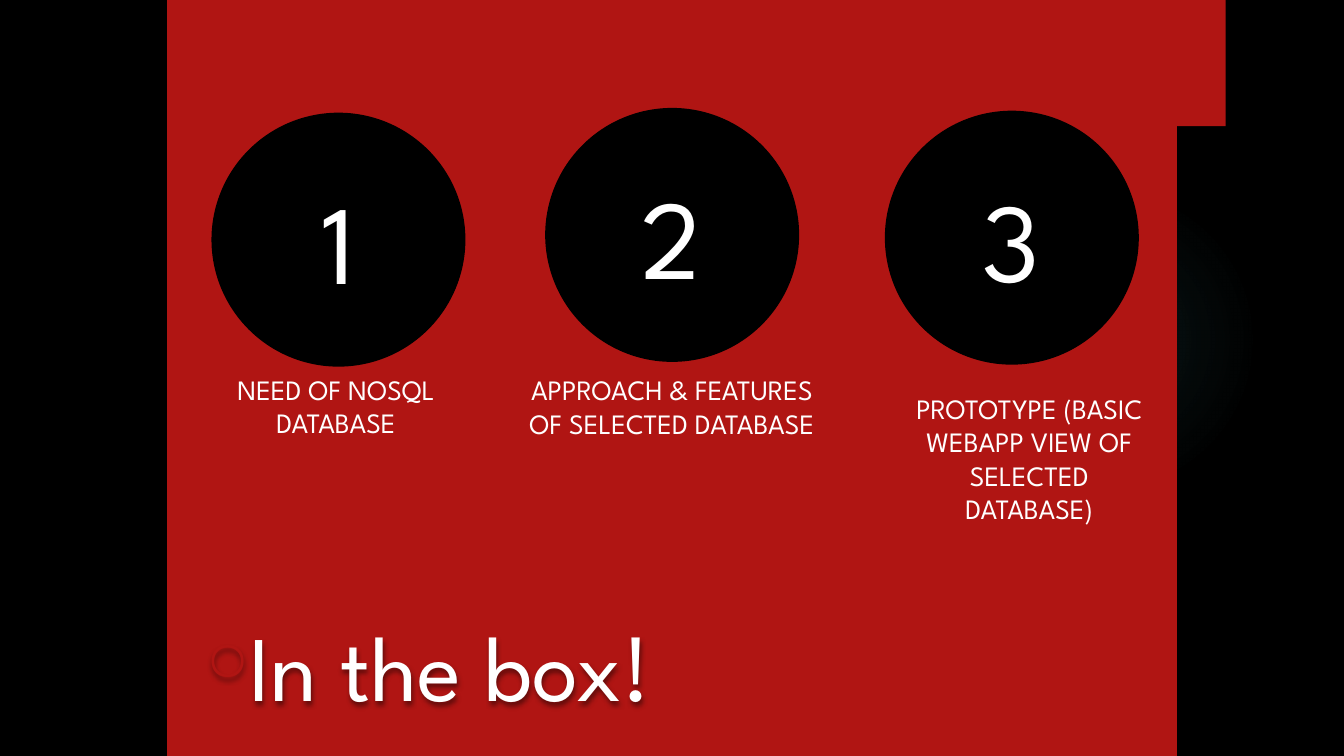
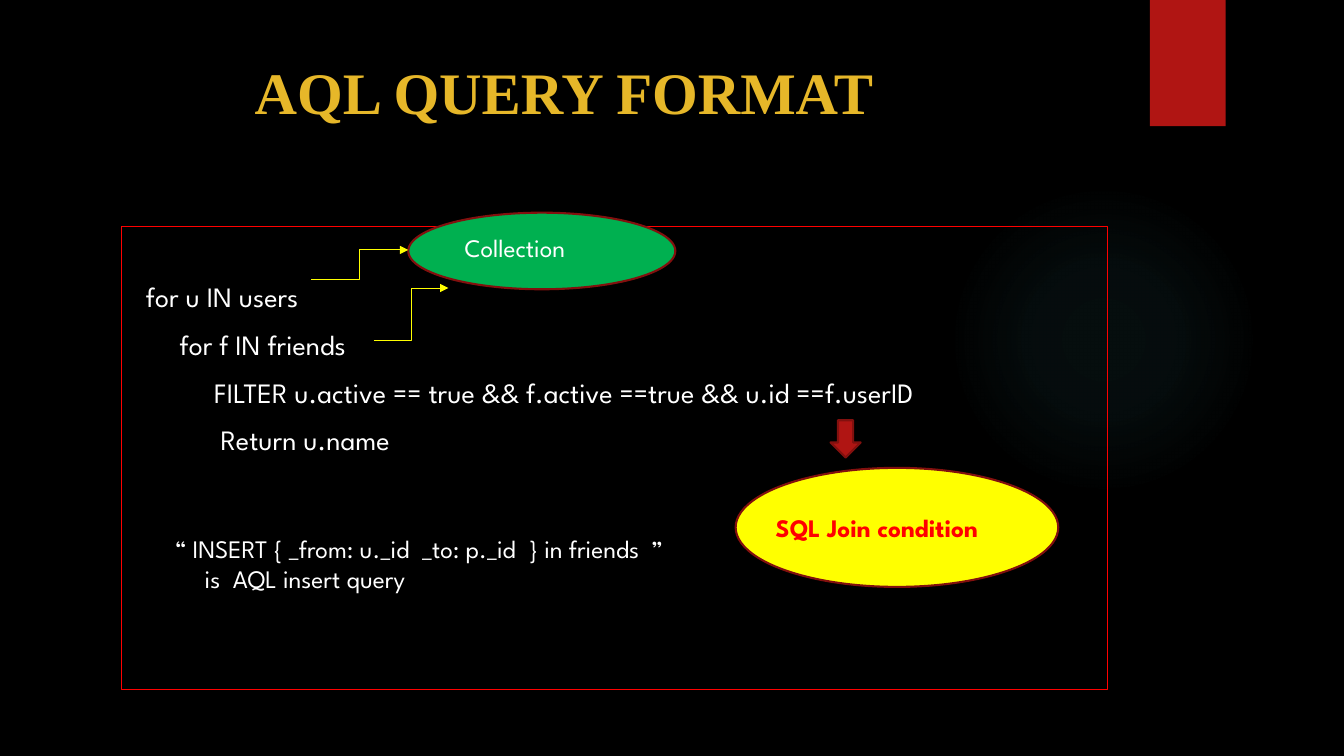
from collections import namedtuple

from lxml import etree
from pptx import Presentation
from pptx.dml.color import RGBColor
from pptx.enum.shapes import MSO_CONNECTOR, MSO_SHAPE
from pptx.enum.text import MSO_ANCHOR, PP_ALIGN
from pptx.oxml import parse_xml
from pptx.oxml.ns import nsdecls, qn
from pptx.util import Cm, Pt

RECTANGLE = MSO_SHAPE.RECTANGLE
OVAL = MSO_SHAPE.OVAL
DOWN_ARROW = MSO_SHAPE.DOWN_ARROW
ELBOW = MSO_CONNECTOR.ELBOW
TOP, MIDDLE = MSO_ANCHOR.TOP, MSO_ANCHOR.MIDDLE
LEFT, CENTER = PP_ALIGN.LEFT, PP_ALIGN.CENTER

BLACK = RGBColor(0x00, 0x00, 0x00)
WHITE = RGBColor(0xFF, 0xFF, 0xFF)
CRIMSON = RGBColor(0xB0, 0x15, 0x13)
MAROON = RGBColor(0x82, 0x10, 0x0E)
RED = RGBColor(0xFF, 0x00, 0x00)
GOLD = RGBColor(0xE6, 0xB7, 0x29)
GREEN = RGBColor(0x00, 0xB0, 0x50)
YELLOW = RGBColor(0xFF, 0xFF, 0x00)
GLOW = RGBColor(0x50, 0xB9, 0xC1)

SANS, SERIF = "League Spartan", "Times New Roman"
CAPTION_FONT = {"name": SANS, "size": Pt(20), "color": WHITE}
NUMBER_FONT = {**CAPTION_FONT, "size": Pt(80)}
HEADING_FONT = {**CAPTION_FONT, "size": Pt(66)}
LABEL_FONT = {**CAPTION_FONT, "size": Pt(18)}
ALERT_FONT = {**LABEL_FONT, "color": RED, "bold": True}
TITLE_FONT = {"name": SERIF, "size": Pt(42), "color": GOLD, "bold": True}

# Lengths in a box are centimetres
Box = namedtuple("Box", "left top width height")
Line = namedtuple("Line", "text indent", defaults=(0,))


def within(outer, left, top, width, height):
    """Box at an offset from the corner of another box."""
    return Box(outer.left + left, outer.top + top, width, height)


# Shared drawing helpers
def add_block(slide, kind, box, fill=None, line=None, weight=1.5):
    shape = slide.shapes.add_shape(kind, *map(Cm, box))
    shape.shadow.inherit = False
    if fill is None:
        shape.fill.background()
    else:
        shape.fill.solid()
        shape.fill.fore_color.rgb = fill
    if line is None:
        shape.line.fill.background()
    else:
        shape.line.color.rgb = line
        shape.line.width = Pt(weight)
    return shape


def write_lines(shape, lines, font, align=LEFT, anchor=TOP, space_after=0):
    frame = shape.text_frame
    frame.word_wrap = True
    frame.vertical_anchor = anchor
    for index, line in enumerate(lines):
        paragraph = frame.add_paragraph() if index else frame.paragraphs[0]
        paragraph.alignment = align
        paragraph.space_after = Pt(space_after)
        if line.indent:
            paragraph._p.get_or_add_pPr().set("marL", str(Cm(line.indent)))
        run = paragraph.add_run()
        run.text = line.text
        for name, value in font.items():
            if name == "color":
                run.font.color.rgb = value
            else:
                setattr(run.font, name, value)


def add_text(slide, box, lines, font, **layout):
    shape = slide.shapes.add_textbox(*map(Cm, box))
    write_lines(shape, lines, font, **layout)
    return shape


def add_soft_shadow(shape):
    properties = shape._element.spPr
    for effects in properties.findall(qn("a:effectLst")):
        properties.remove(effects)
    properties.append(parse_xml(
        f'<a:effectLst {nsdecls("a")}>'
        f'<a:outerShdw blurRad="{Pt(3)}" dist="{Pt(2)}" dir="5400000">'
        f'<a:srgbClr val="{BLACK}"><a:alpha val="45000"/></a:srgbClr>'
        '</a:outerShdw></a:effectLst>'))


def add_pointer(slide, box, start, end):
    """Elbow arrow between two points given relative to the box."""
    points = [Cm(base + offset) for point in (start, end)
              for base, offset in zip(box, point)]
    connector = slide.shapes.add_connector(ELBOW, *points)
    connector.line.color.rgb = YELLOW
    connector.line.width = Pt(0.75)
    etree.SubElement(connector.line._get_or_add_ln(), qn("a:tailEnd"), type="triangle")
    etree.SubElement(connector._element.spPr, qn("a:effectLst"))


# Background shared by all slides
def add_glow(slide, box):
    shape = add_block(slide, OVAL, box, GLOW)
    stops = "".join(
        f'<a:gs pos="{position}000"><a:srgbClr val="{GLOW}">'
        f'<a:alpha val="{alpha}000"/></a:srgbClr></a:gs>'
        for position, alpha in ((0, 7), (36, 6), (69, 0)))
    gradient = parse_xml(
        f'<a:gradFill {nsdecls("a")}><a:gsLst>{stops}</a:gsLst>'
        '<a:path path="circle">'
        '<a:fillToRect l="50000" t="50000" r="50000" b="50000"/>'
        '</a:path></a:gradFill>')
    properties = shape._element.spPr
    properties.replace(properties.find(qn("a:solidFill")), gradient)


def add_base_slide(presentation):
    slide = presentation.slides.add_slide(presentation.slide_layouts[6])
    slide.background.fill.solid()
    slide.background.fill.fore_color.rgb = BLACK
    add_glow(slide, Box(23.9, 4.65, 7.82, 7.82))
    add_soft_shadow(add_block(slide, RECTANGLE, Box(28.98, 0, 1.91, 3.18), CRIMSON))
    return slide


# Agenda slide
def add_step(slide, circle, number, caption, caption_place):
    add_text(slide, within(circle, *caption_place), [Line(text) for text in caption],
             CAPTION_FONT, align=CENTER)
    shape = add_block(slide, OVAL, circle, BLACK)
    write_lines(shape, [Line(str(number))], NUMBER_FONT, align=CENTER, anchor=MIDDLE)


def add_bulleted_heading(slide, box, text):
    shape = add_text(slide, box, [Line(text, 0.97)], HEADING_FONT,
                     anchor=MIDDLE, space_after=6)
    properties = shape.text_frame.paragraphs[0]._p.get_or_add_pPr()
    properties.set("indent", str(-Cm(0.97)))
    color = etree.SubElement(properties, qn("a:buClr"))
    etree.SubElement(color, qn("a:srgbClr"), val=str(CRIMSON))
    etree.SubElement(properties, qn("a:buSzPct"), val="60000")
    etree.SubElement(properties, qn("a:buChar"), char="○")
    add_soft_shadow(shape)


def build_agenda(presentation):
    slide = add_base_slide(presentation)
    panel = Box(4.24, 0, 25.4, 19.05)
    add_block(slide, RECTANGLE, panel, CRIMSON, CRIMSON)
    # Circle corner, caption, caption place relative to the circle
    steps = [
        ((1.09, 2.84), ["NEED OF NOSQL", "DATABASE"], (0.08, 6.41, 6.12, 1.96)),
        ((9.5, 2.72), ["APPROACH & FEATURES OF SELECTED DATABASE"],
         (-0.74, 6.55, 7.87, 2.82)),
        ((18.06, 2.79), ["PROTOTYPE (BASIC WEBAPP VIEW OF SELECTED DATABASE)"],
         (0.48, 6.94, 6.32, 4.52)),
    ]
    for number, (corner, caption, place) in enumerate(steps, start=1):
        add_step(slide, within(panel, *corner, 6.4, 6.4), number, caption, place)
    add_bulleted_heading(slide, within(panel, 0.69, 15.04, 21.67, 3.4), "In the box!")


# Query slide
def add_callout(slide, box, fill, text, font, label_place):
    add_block(slide, OVAL, box, fill, MAROON)
    add_text(slide, within(box, *label_place), [Line(text)], font)


def add_query_panel(slide, box):
    frame = add_block(slide, RECTANGLE, box, line=RED, weight=0.75)
    frame.text_frame.margin_top = Cm(1.33)
    write_lines(frame, [
        Line("for u IN users", 0.36),
        Line("for f IN friends", 1.21),
        Line("FILTER u.active == true && f.active ==true && u.id ==f.userID", 2.08),
        Line("Return u.name", 2.24),
    ], CAPTION_FONT, space_after=10)

    # Collections named in the loops
    add_callout(slide, within(box, 7.22, -0.36, 6.73, 1.93), GREEN,
                "Collection", LABEL_FONT, (1.17, 0.36, 4.27, 1.02))
    add_pointer(slide, box, (4.78, 1.32), (7.22, 0.58))
    add_pointer(slide, box, (6.35, 2.87), (8.23, 1.54))

    # Join condition in the filter
    add_callout(slide, within(box, 15.47, 6.07, 8.13, 3), YELLOW,
                "SQL Join condition", ALERT_FONT, (0.76, 0.99, 6.63, 1.02))
    add_block(slide, DOWN_ARROW, within(box, 17.86, 4.87, 0.76, 0.94), CRIMSON, MAROON)

    # Insert example
    add_text(slide, within(box, 0.74, 7.59, 13.84, 3.33), [
        Line("“ INSERT { _from: u._id  _to: p._id  } in friends  ”", 0.35),
        Line("is  AQL insert query", 1.1),
    ], LABEL_FONT)


def build_query_format(presentation):
    slide = add_base_slide(presentation)
    add_text(slide, Box(6.17, 1.27, 20, 3.89), [Line("AQL QUERY FORMAT")], TITLE_FONT)
    add_query_panel(slide, Box(3.07, 5.72, 24.84, 11.66))


def main():
    presentation = Presentation()
    presentation.slide_width = Cm(33.87)
    presentation.slide_height = Cm(19.05)
    build_agenda(presentation)
    build_query_format(presentation)
    presentation.save("out.pptx")


if __name__ == "__main__":
    main()
